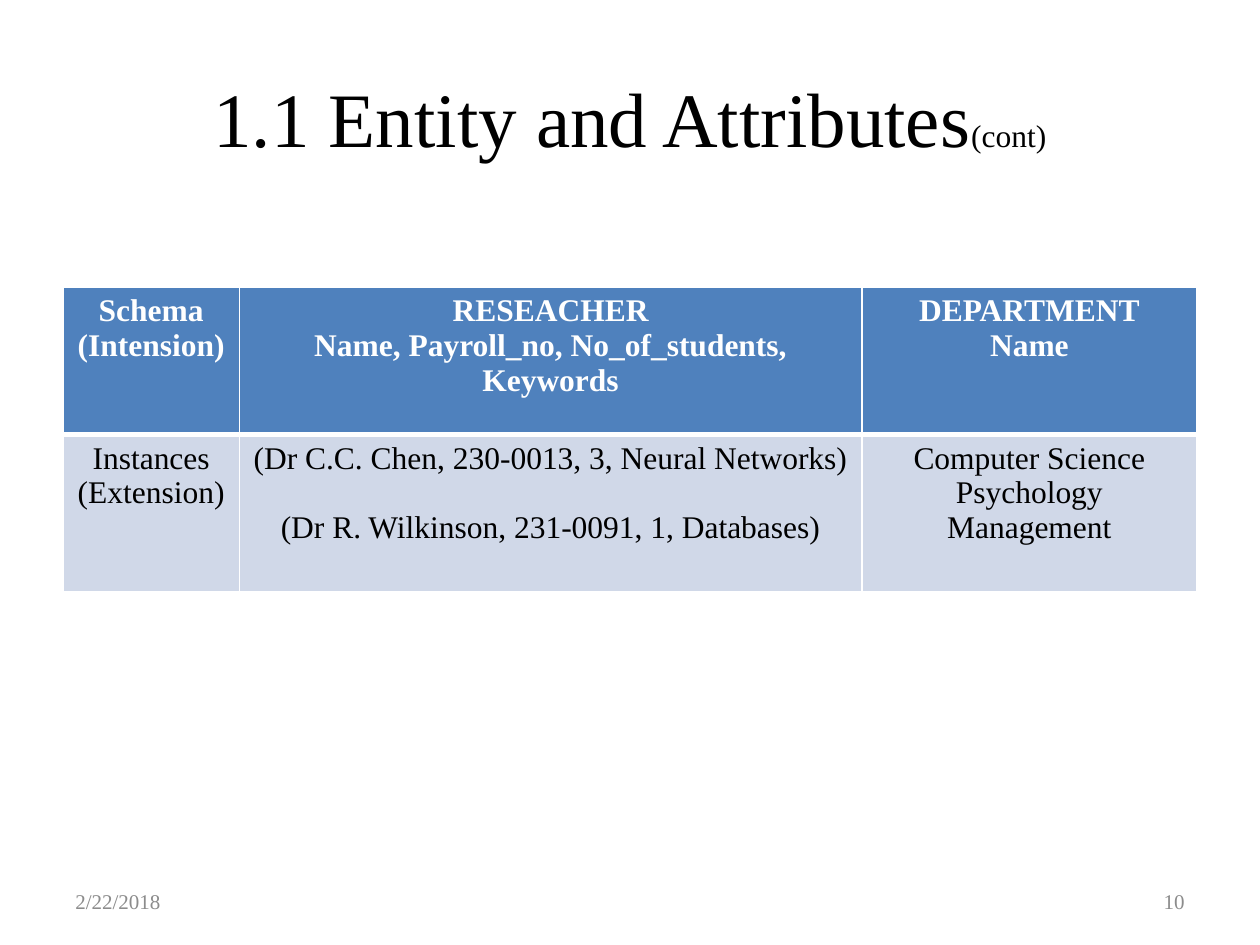
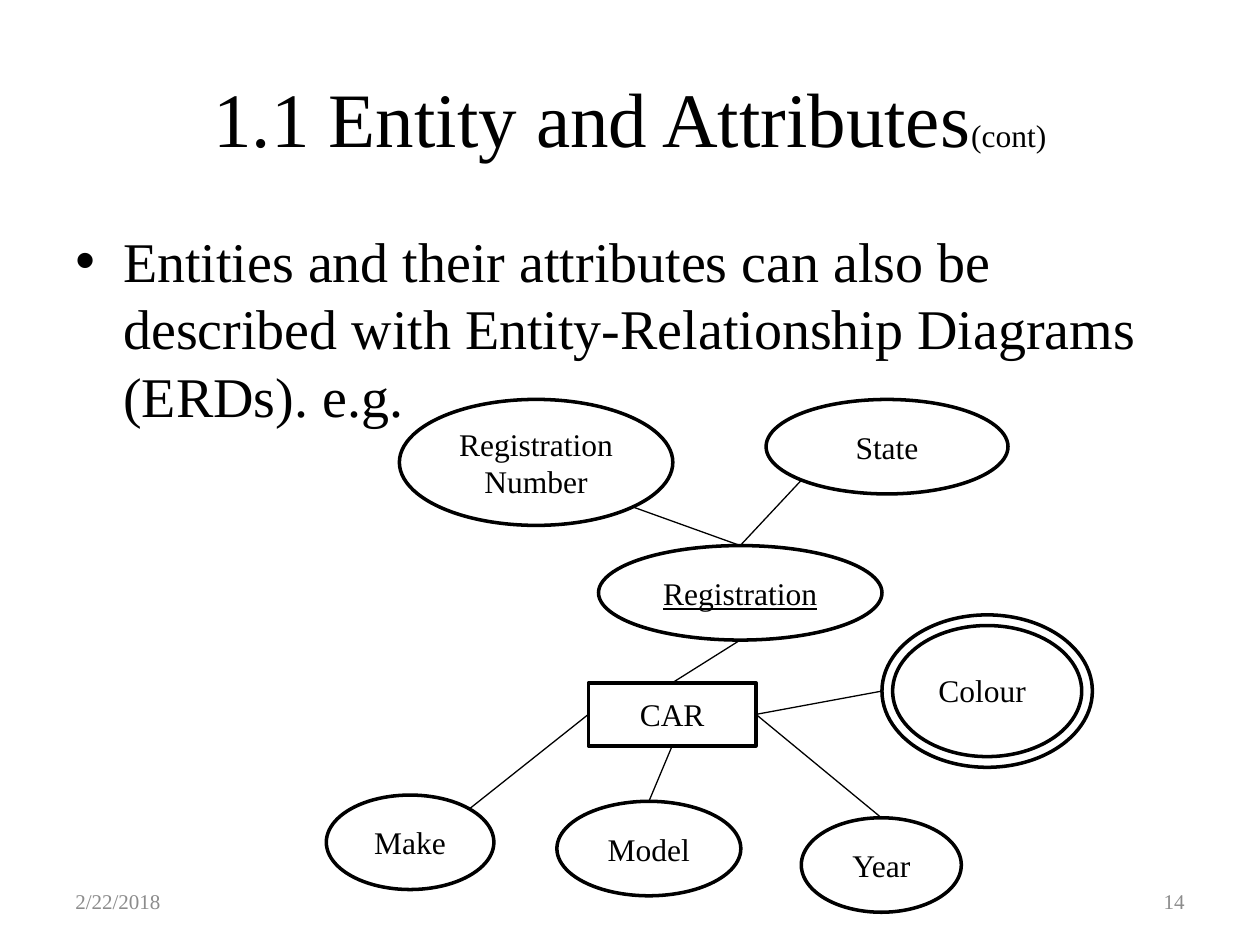
from dataclasses import dataclass
from math import cos, sin, pi
from lxml.etree import SubElement
from pptx import Presentation
from pptx.dml.color import RGBColor
from pptx.enum.shapes import MSO_CONNECTOR, MSO_SHAPE
from pptx.enum.text import MSO_ANCHOR, PP_ALIGN
from pptx.oxml import parse_xml
from pptx.oxml.ns import nsdecls, qn
from pptx.util import Inches, Pt


@dataclass(frozen=True)
class Theme:
    """Colours, font and type sizes of the deck."""
    font: str = "Times New Roman"
    ink: str = "000000"
    paper: str = "FFFFFF"
    head: str = "4F81BD"
    band: str = "D0D8E8"
    grey: str = "8C8C8C"
    title: int = 44
    body: int = 32
    label: int = 18
    foot: int = 12


THEME = Theme()
TITLE = (0.5, 0.3, 9, 1.25)
BODY = (0.5, 1.75, 9, 4.95)
TABLE = (0.5, 2.28, 9, 2.42)
FOOT = (0.5, 6.95, 9, 0.4)
DIAGRAM = (2.58, 3.17)

COLS = (1.4, 4.94, 2.66)
ROWS = (1.17, 1.25)
CELLS = (
    (("Schema (Intension)",),
     ("RESEACHER", "Name, Payroll_no, No_of_students,", "Keywords"),
     ("DEPARTMENT", "Name")),
    (("Instances (Extension)",),
     ("(Dr C.C. Chen, 230-0013, 3, Neural Networks)",
      "(Dr R. Wilkinson, 231-0091, 1, Databases)"),
     ("Computer Science", "Psychology", "Management")),
)
GAPS = {(1, 1): 20}

OVAL, RECT, DONUT = MSO_SHAPE.OVAL, MSO_SHAPE.RECTANGLE, MSO_SHAPE.DONUT
NODES = {
    "number": (OVAL, (0.59, 0, 2.17, 1), ("Registration", "Number")),
    "registration": (OVAL, (2.17, 1.16, 2.25, 0.75), ("Registration",)),
    "state": (OVAL, (3.5, 0, 1.92, 0.75), ("State",)),
    "make": (OVAL, (0.01, 3.14, 1.33, 0.75), ("Make",)),
    "model": (OVAL, (1.84, 3.19, 1.46, 0.75), ("Model",)),
    "year": (OVAL, (3.78, 3.32, 1.27, 0.75), ("Year",)),
    "colour": (DONUT, (4.42, 1.71, 1.67, 1.21), ()),
    "car": (RECT, (2.09, 2.25, 1.33, 0.5), ("CAR",)),
}
COLOUR = (4.77, 2.11, 0.96, 0.4)
KEY = "registration"
LINKS = (
    ("state", 3, "registration", 0),
    ("number", 5, "registration", 0),
    ("registration", 4, "car", 0),
    ("car", 1, "make", 7),
    ("car", 2, "model", 0),
    ("car", 3, "year", 0),
    ("car", 3, "colour", 2),
)


def paint(hue):
    """Turn a hex string into a colour."""
    return RGBColor.from_string(hue)


def write(para, text, size, hue=THEME.ink, bold=False, under=False):
    """Add one styled run to a paragraph."""
    run = para.add_run()
    run.text = text
    font = run.font
    font.name, font.size = THEME.font, Pt(size)
    font.bold, font.underline = bold, under
    font.color.rgb = paint(hue)


def fill_lines(frame, lines, align=PP_ALIGN.CENTER, gap=0, **style):
    """Write each line as a paragraph of a text frame."""
    for i, line in enumerate(lines):
        para = frame.add_paragraph() if i else frame.paragraphs[0]
        para.alignment = align
        if i and gap:
            para.space_before = Pt(gap)
        write(para, line, **style)


def add_box(shapes, box, anchor=MSO_ANCHOR.TOP):
    """Add a wrapping text box and return its frame."""
    frame = shapes.add_textbox(*map(Inches, box)).text_frame
    frame.word_wrap = True
    frame.vertical_anchor = anchor
    return frame


def add_title(slide, box):
    """Place the shared heading."""
    para = add_box(slide.shapes, box, MSO_ANCHOR.MIDDLE).paragraphs[0]
    para.alignment = PP_ALIGN.CENTER
    write(para, "1.1 Entity and Attributes", THEME.title)
    write(para, "(cont)", THEME.label)


def add_foot(slide, box, number):
    """Place the date at the left end and the number at the right."""
    left, top, width, height = box
    part = 2.33
    for x, text, align in ((left, "2/22/2018", PP_ALIGN.LEFT),
                           (left + width - part, number, PP_ALIGN.RIGHT)):
        frame = add_box(slide.shapes, (x, top, part, height),
                        MSO_ANCHOR.MIDDLE)
        fill_lines(frame, (text,), align, size=THEME.foot, hue=THEME.grey)


def add_bullet(slide, box, text):
    """Place one bulleted paragraph with a hanging indent."""
    para = add_box(slide.shapes, box).paragraphs[0]
    para.space_before = Pt(0.2 * THEME.body)
    write(para, text, THEME.body)
    props = para._p.get_or_add_pPr()
    props.set("marL", str(Inches(0.38)))
    props.set("indent", str(-Inches(0.38)))
    SubElement(props, qn("a:buFont"), typeface="Arial")
    SubElement(props, qn("a:buChar"), char="•")


def add_edges(cell, widths):
    """Draw the four borders of a cell ahead of its fill."""
    props = cell._tc.get_or_add_tcPr()
    for i, (side, width) in enumerate(zip("LRTB", widths)):
        props.insert(i, parse_xml(
            f'<a:ln{side} {nsdecls("a")} w="{Pt(width)}"><a:solidFill>'
            f'<a:srgbClr val="{THEME.paper}"/></a:solidFill></a:ln{side}>'))


def add_grid(slide, box):
    """Place the table of schema and instances."""
    frame = slide.shapes.add_table(len(ROWS), len(COLS), *map(Inches, box))
    table = frame.table
    for col, width in zip(table.columns, COLS):
        col.width = Inches(width)
    for r, height in enumerate(ROWS):
        table.rows[r].height = Inches(height)
        head = r == 0
        for c, lines in enumerate(CELLS[r]):
            cell = table.cell(r, c)
            cell.fill.solid()
            cell.fill.fore_color.rgb = paint(THEME.head if head else THEME.band)
            add_edges(cell, (1, 1, 1, 3) if head else (1, 1, 3, 1))
            fill_lines(cell.text_frame, lines, gap=GAPS.get((r, c), 0),
                       size=THEME.label, bold=head,
                       hue=THEME.paper if head else THEME.ink)


def add_node(shapes, kind, box, lines, under):
    """Add one outlined, unfilled node of the diagram."""
    node = shapes.add_shape(kind, *map(Inches, box))
    node.shadow.inherit = False
    node.fill.background()
    node.line.color.rgb = paint(THEME.ink)
    node.line.width = Pt(2)
    if kind == DONUT:
        node.adjustments[0] = 0.07
    frame = node.text_frame
    frame.word_wrap = True
    frame.vertical_anchor = MSO_ANCHOR.MIDDLE
    fill_lines(frame, lines, size=THEME.label, under=under)
    return node


def find_site(node, site):
    """Find a connection site, counted from the top towards the left."""
    step = pi / 2 if node.auto_shape_type == RECT else pi / 4
    turn = site * step
    return (round(node.left + node.width * (1 - sin(turn)) / 2),
            round(node.top + node.height * (1 - cos(turn)) / 2))


def add_link(shapes, start, first, end, last):
    """Join the sites of two nodes with a thin glued line."""
    link = shapes.add_connector(MSO_CONNECTOR.STRAIGHT,
                                *find_site(start, first),
                                *find_site(end, last))
    link.line.color.rgb = paint(THEME.ink)
    link.line.width = Pt(0.75)
    SubElement(link.element.spPr, qn("a:effectLst"))
    props = link.element.find(".//" + qn("p:cNvCxnSpPr"))
    for tag, node, site in (("a:stCxn", start, first), ("a:endCxn", end, last)):
        SubElement(props, qn(tag), id=str(node.shape_id), idx=str(site))


def add_diagram(slide, origin):
    """Place the grouped entity diagram from its top left corner."""
    shapes = slide.shapes.add_group_shape().shapes

    def shift(box):
        """Move a box by the corner of the diagram."""
        return (origin[0] + box[0], origin[1] + box[1], *box[2:])

    nodes = {name: add_node(shapes, kind, shift(box), lines, name == KEY)
             for name, (kind, box, lines) in NODES.items()}
    fill_lines(add_box(shapes, shift(COLOUR)), ("Colour",), PP_ALIGN.LEFT,
               size=THEME.label)
    for start, first, end, last in LINKS:
        add_link(shapes, nodes[start], first, nodes[end], last)


def add_page(deck, number):
    """Add a blank slide with the shared title and footer."""
    slide = deck.slides.add_slide(deck.slide_layouts[6])
    add_title(slide, TITLE)
    add_foot(slide, FOOT, number)
    return slide


def main():
    """Build and save the deck."""
    deck = Presentation()
    deck.slide_width, deck.slide_height = Inches(10), Inches(7.5)
    add_grid(add_page(deck, "10"), TABLE)
    page = add_page(deck, "14")
    add_bullet(page, BODY, "Entities and their attributes can also be described "
               "with Entity-Relationship Diagrams (ERDs). e.g.")
    add_diagram(page, DIAGRAM)
    deck.save("out.pptx")


main()
